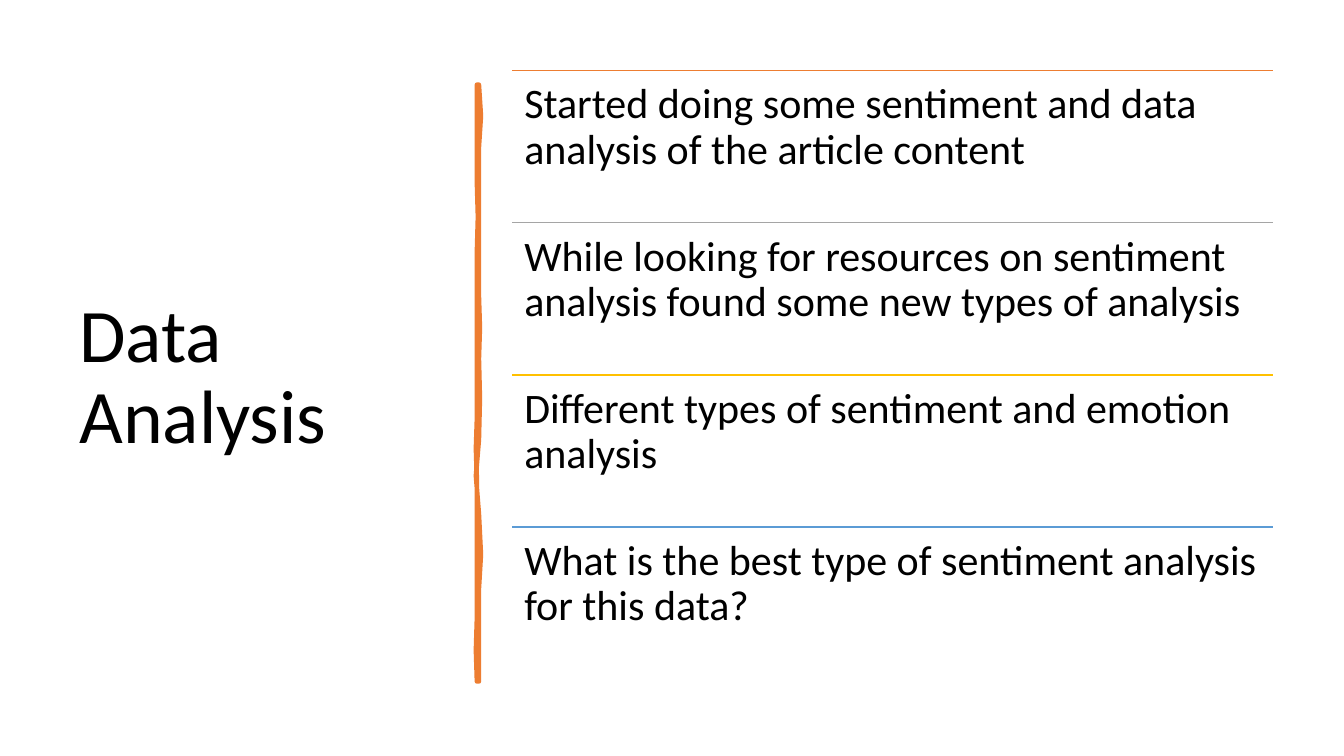
from dataclasses import dataclass

from lxml.etree import SubElement
from pptx import Presentation
from pptx.dml.color import RGBColor
from pptx.enum.shapes import MSO_CONNECTOR
from pptx.enum.text import MSO_ANCHOR
from pptx.oxml.ns import qn
from pptx.util import Inches, Pt

COLOURS = {
    "text": "000000",
    "orange": "ED7D31",
    "grey": "A5A5A5",
    "gold": "FFC000",
    "blue": "5B9BD5",
}
FONT = "Calibri"
LIST_LEFT, LIST_TOP, LIST_WIDTH, ROW_HEIGHT = 5.08, 0.7, 7.55, 1.51

# Wavering edges of the upright brush stroke: right side down, left side up.
STROKE_RIGHT = [
    (4.75, 0.84), (4.77, 1.15), (4.75, 1.46), (4.75, 2.94), (4.76, 3.25),
    (4.75, 3.56), (4.76, 3.95), (4.75, 4.36), (4.72, 4.72), (4.75, 5.1),
    (4.77, 5.5), (4.75, 5.84), (4.75, 6.76),
]
STROKE_LEFT = [
    (4.73, 6.76), (4.72, 6.45), (4.73, 6.13), (4.73, 4.77), (4.72, 4.45),
    (4.73, 4.15), (4.73, 2.5), (4.74, 2.15), (4.73, 1.81), (4.73, 0.84),
]


@dataclass(frozen=True)
class Point:
    """One statement in the list and the colour of the rule above it."""
    text: str
    colour: str


@dataclass(frozen=True)
class Box:
    """Place of a text box, in inches."""
    left: float
    top: float
    width: float
    height: float


POINTS = [
    Point("Started doing some sentiment and data analysis of the article "
          "content", "orange"),
    Point("While looking for resources on sentiment analysis found some new "
          "types of analysis", "grey"),
    Point("Different types of sentiment and emotion analysis", "gold"),
    Point("What is the best type of sentiment analysis for this data?", "blue"),
]


def rgb(name: str) -> RGBColor:
    """Return the named colour."""
    return RGBColor.from_string(COLOURS[name])


def set_values(target, values: dict) -> None:
    """Set each attribute of the target from the dict."""
    for name, value in values.items():
        setattr(target, name, value)


def add_text(slide, box: Box, text: str, size: float, inset: float,
             anchor: MSO_ANCHOR) -> None:
    """Add a wrapped text box holding one paragraph."""
    shape = slide.shapes.add_textbox(Inches(box.left), Inches(box.top),
                                     Inches(box.width), Inches(box.height))
    frame = shape.text_frame
    set_values(frame, {
        "word_wrap": True,
        "vertical_anchor": anchor,
        "margin_left": Inches(inset),
        "margin_right": Inches(inset),
        "margin_top": Inches(inset),
        "margin_bottom": Inches(inset),
    })
    paragraph = frame.paragraphs[0]
    paragraph.line_spacing = 0.9
    run = paragraph.add_run()
    run.text = text
    set_values(run.font, {"name": FONT, "size": Pt(size)})
    run.font.color.rgb = rgb("text")


def add_rule(slide, top: float, colour: str) -> None:
    """Add a thin rule across the list."""
    rule = slide.shapes.add_connector(
        MSO_CONNECTOR.STRAIGHT, Inches(LIST_LEFT), Inches(top),
        Inches(LIST_LEFT + LIST_WIDTH), Inches(top))
    rule.line.color.rgb = rgb(colour)
    rule.line.width = Pt(1)
    SubElement(rule._element.spPr, qn("a:effectLst"))


def add_brush_stroke(slide) -> None:
    """Add the uneven upright divider with rounded corners."""
    start, *others = [(Inches(x), Inches(y))
                      for x, y in STROKE_RIGHT + STROKE_LEFT]
    builder = slide.shapes.build_freeform(*start)
    builder.add_line_segments(others, close=True)
    stroke = builder.convert_to_shape()
    stroke.shadow.inherit = False
    stroke.fill.solid()
    stroke.fill.fore_color.rgb = rgb("orange")
    stroke.line.color.rgb = rgb("orange")
    stroke.line.width = Pt(3.25)
    SubElement(stroke.line._get_or_add_ln(), qn("a:round"))


def main() -> None:
    """Build the slide and save it."""
    presentation = Presentation()
    set_values(presentation, {"slide_width": Inches(13.33),
                              "slide_height": Inches(7.5)})
    slide = presentation.slides.add_slide(presentation.slide_layouts[6])
    add_text(slide, Box(0.69, 0.7, 3.74, 6.11), "Data Analysis", 54, 0.1,
             MSO_ANCHOR.MIDDLE)
    add_brush_stroke(slide)
    for index, point in enumerate(POINTS):
        top = LIST_TOP + index * ROW_HEIGHT
        add_rule(slide, top, point.colour)
        add_text(slide, Box(LIST_LEFT, top, LIST_WIDTH, ROW_HEIGHT),
                 point.text, 30, 0.12, MSO_ANCHOR.TOP)
    presentation.save("out.pptx")


main()
